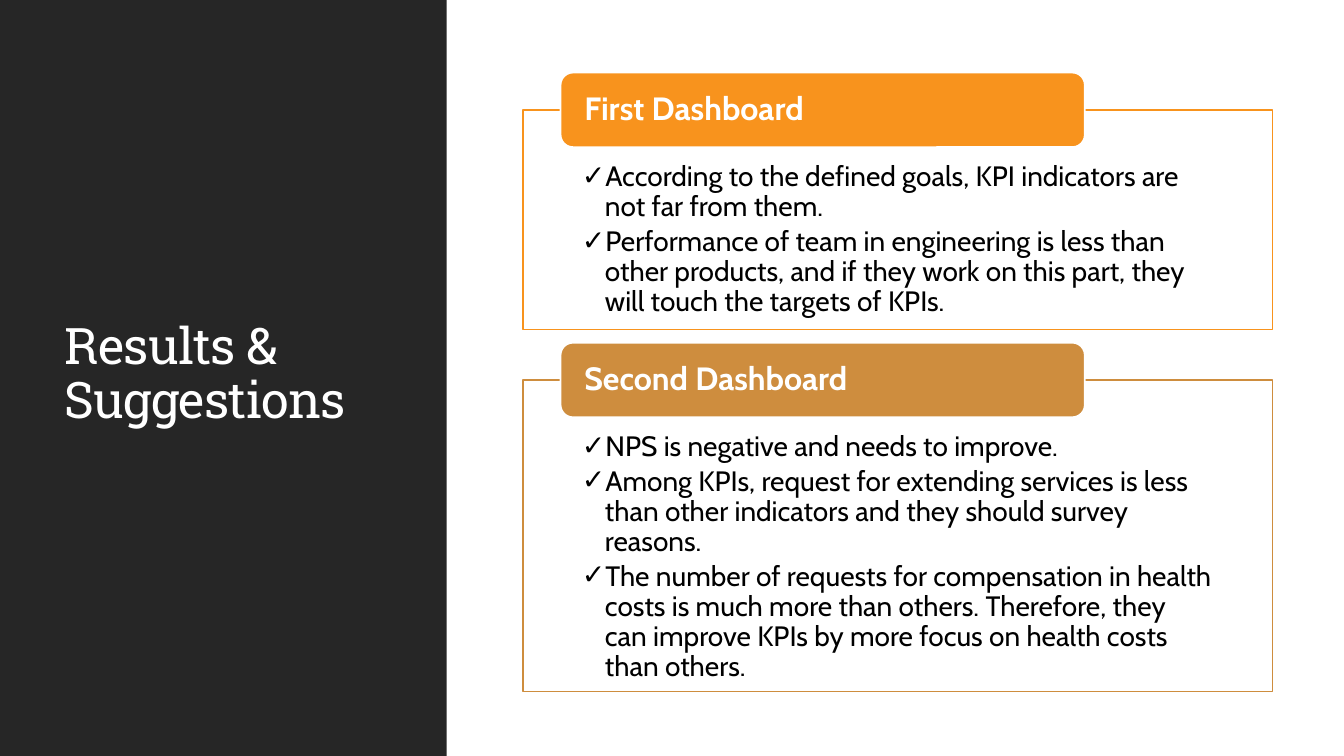
from lxml import etree
from pptx import Presentation
from pptx.dml.color import RGBColor
from pptx.enum.shapes import MSO_SHAPE
from pptx.enum.text import MSO_ANCHOR, MSO_AUTO_SIZE, PP_ALIGN
from pptx.oxml.ns import qn
from pptx.util import Inches, Pt

RECTANGLE, ROUNDED = MSO_SHAPE.RECTANGLE, MSO_SHAPE.ROUNDED_RECTANGLE
TOP, MIDDLE = MSO_ANCHOR.TOP, MSO_ANCHOR.MIDDLE
LEFT = PP_ALIGN.LEFT
NO_AUTOFIT = MSO_AUTO_SIZE.NONE

WHITE = RGBColor(0xFF, 0xFF, 0xFF)
BLACK = RGBColor(0x00, 0x00, 0x00)
CHARCOAL = RGBColor(0x26, 0x26, 0x26)
ORANGE = RGBColor(0xF8, 0x93, 0x1D)
OCHRE = RGBColor(0xCE, 0x8D, 0x3E)

# Heading, colour, top and height of the framed list, findings
DASHBOARDS = [
    ("First Dashboard", ORANGE, 1.09, 2.18, [
        "According to the defined goals, KPI indicators are not far from them.",
        "Performance of team in engineering is less than other products, and if "
        "they work on this part, they will touch the targets of KPIs.",
    ]),
    ("Second Dashboard", OCHRE, 3.77, 3.09, [
        "NPS is negative and needs to improve.",
        "Among KPIs, request for extending services is less than other "
        "indicators and they should survey reasons.",
        "The number of requests for compensation in health costs is much more "
        "than others. Therefore, they can improve KPIs by more focus on health "
        "costs than others.",
    ]),
]


def set_frame(frame, anchor, side, top, bottom):
    frame.word_wrap = True
    frame.auto_size = NO_AUTOFIT
    frame.vertical_anchor = anchor
    frame.margin_left = frame.margin_right = Inches(side)
    frame.margin_top, frame.margin_bottom = Inches(top), Inches(bottom)


def add_text(paragraph, text, font_name, size, color, bold=False):
    paragraph.alignment = LEFT
    paragraph.line_spacing = 0.9
    paragraph.space_before = Pt(0)
    run = paragraph.add_run()
    run.text = text
    run.font.name = font_name
    run.font.size = Pt(size)
    run.font.bold = bold
    run.font.color.rgb = color
    return run


prs = Presentation()
prs.slide_width, prs.slide_height = Inches(13.33), Inches(7.5)
slide = prs.slides.add_slide(prs.slide_layouts[3])
slide.background.fill.solid()
slide.background.fill.fore_color.rgb = WHITE

# Dark side panel, sent behind the title
panel = slide.shapes.add_shape(RECTANGLE, 0, 0, Inches(4.43), prs.slide_height)
panel.shadow.inherit = False
panel.fill.solid()
panel.fill.fore_color.rgb = CHARCOAL
panel.line.fill.background()
slide.shapes._spTree.insert(2, panel._element)

# Title
title = slide.shapes.title
title.left, title.top = Inches(0.54), Inches(0.57)
title.width, title.height = Inches(3.37), Inches(6.31)
set_frame(title.text_frame, MIDDLE, 0.1, 0.05, 0.05)
title_run = add_text(title.text_frame.paragraphs[0], "Results & Suggestions",
                     "Roboto Slab", 36, WHITE)
title_run.font._element.set("spc", "-50")

for index, (heading, color, top, height, findings) in enumerate(DASHBOARDS, start=1):
    # Framed list of findings
    body = slide.placeholders[index]
    body.left, body.top = Inches(5.19), Inches(top)
    body.width, body.height = Inches(7.43), Inches(height)
    body.fill.solid()
    body.fill.fore_color.rgb = WHITE
    body.line.color.rgb = color
    body.line.width = Pt(1.25)
    set_frame(body.text_frame, TOP, 0.58, 0.52, 0.16)
    for number, finding in enumerate(findings):
        paragraph = (body.text_frame.add_paragraph() if number
                     else body.text_frame.paragraphs[0])
        add_text(paragraph, finding, "Cabin", 20, BLACK)
        paragraph.space_after = Pt(3)
        properties = paragraph._p.get_or_add_pPr()
        properties.set("marL", str(Inches(0.23)))
        properties.set("indent", str(-Inches(0.23)))
        etree.SubElement(properties, qn("a:buChar")).set("char", "✓")

    # Heading tab, straddling the top edge of the frame
    tab = slide.shapes.add_shape(ROUNDED, Inches(5.56), Inches(top - 0.37),
                                 Inches(5.2), Inches(0.74))
    tab.shadow.inherit = False
    tab.fill.solid()
    tab.fill.fore_color.rgb = color
    tab.line.color.rgb = WHITE
    tab.line.width = Pt(1.25)
    set_frame(tab.text_frame, MIDDLE, 0.2, 0, 0)
    add_text(tab.text_frame.paragraphs[0], heading, "Cabin", 23, WHITE, bold=True)

prs.save("out.pptx")
